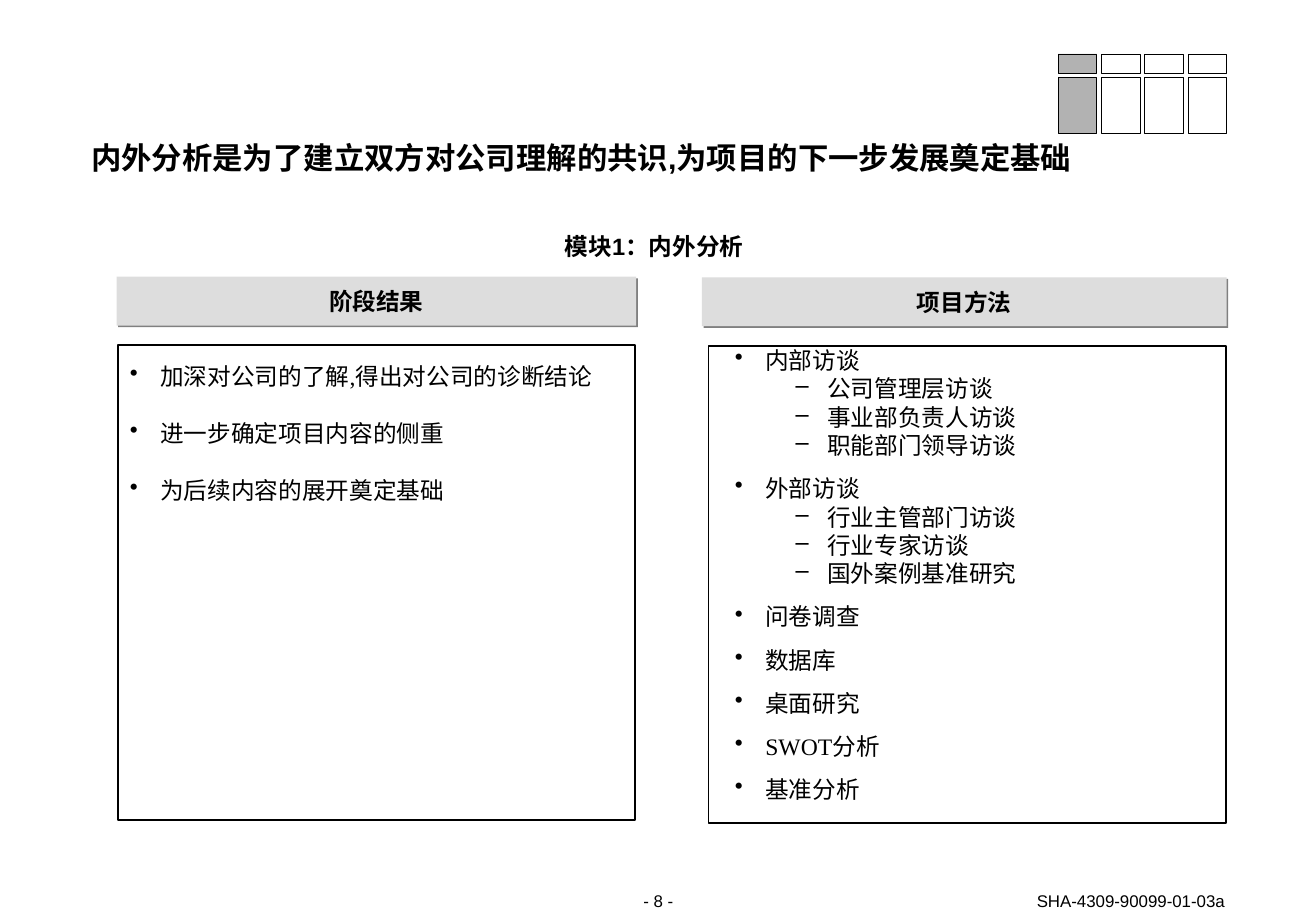
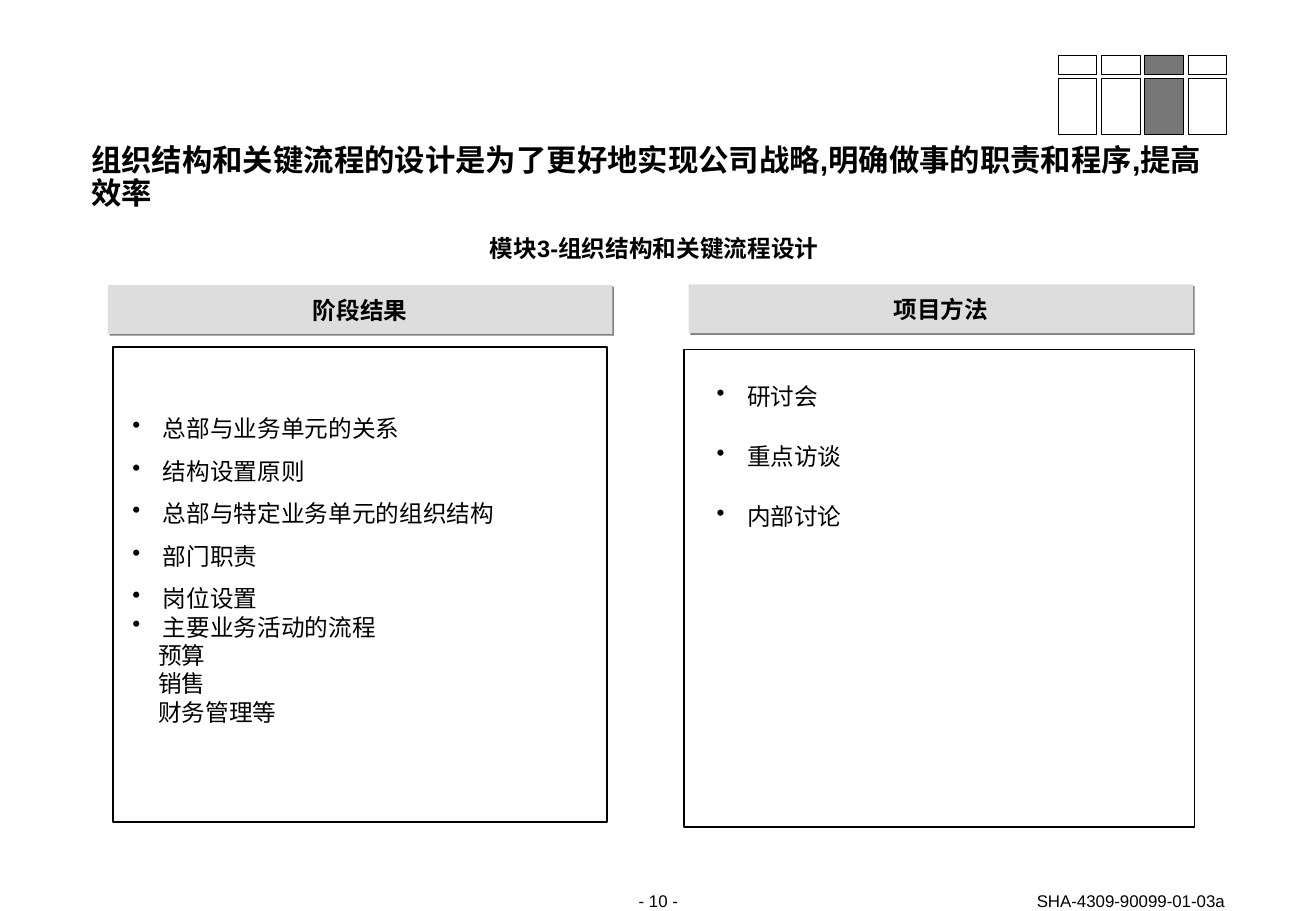
from dataclasses import dataclass

from lxml import etree
from pptx import Presentation
from pptx.dml.color import RGBColor
from pptx.enum.shapes import MSO_SHAPE
from pptx.enum.text import MSO_ANCHOR, PP_ALIGN
from pptx.oxml import parse_xml
from pptx.oxml.ns import qn
from pptx.util import Pt

RECT = MSO_SHAPE.RECTANGLE
TOP, MIDDLE, BOTTOM = MSO_ANCHOR.TOP, MSO_ANCHOR.MIDDLE, MSO_ANCHOR.BOTTOM
LEFT, CENTER, RIGHT = PP_ALIGN.LEFT, PP_ALIGN.CENTER, PP_ALIGN.RIGHT
SHADOW = (
    '<a:outerShdw xmlns:a="http://schemas.openxmlformats.org/drawingml/2006/main"'
    ' blurRad="0" dist="17780" dir="2700000" algn="tl" rotWithShape="0">'
    '<a:srgbClr val="808080"/></a:outerShdw>'
)


@dataclass(frozen=True)
class Theme:
    ink: str = "000000"
    header: str = "DDDDDD"
    sans: str = "Arial"
    serif: str = "Times New Roman"
    title: int = 18
    body: int = 14
    footer: int = 10


T = Theme()

# Paragraph styles: marker, left margin, first-line indent, space before, line spacing
STYLES = {
    "bullet": ("•", 18, -18, 8.8, 1),
    "dash": ("–", 54.7, -18.7, 0, 1),
    "spaced": ("•", 18, -18, 16.8, 1),
    "loose": ("•", 18, -18, 0, 1.5),
    "open": ("•", 18, -18, 8.8, 1.6),
    "tight": ("•", 18, -18, 0, 1),
    "plain": (None, 15.2, 0, 0, 1),
}

# Each column: header, header box, frame box, text box, top inset, groups of items
SLIDES = [
    {
        "page": 8,
        "title": "内外分析是为了建立双方对公司理解的共识,为项目的下一步发展奠定基础",
        "title_top": 84.2,
        "module": "模块1：内外分析",
        "module_top": 138.2,
        "tracker_top": 32,
        "active": 0,
        "active_color": "B2B2B2",
        "columns": [
            ("阶段结果", (69.1, 164, 308, 29), (70, 204.5, 306.5, 281.5),
             (77, 214.6, 309, 117), 0, [
                 ("spaced", T.serif, ["加深对公司的了解,得出对公司的诊断结论",
                                      "进一步确定项目内容的侧重",
                                      "为后续内容的展开奠定基础"]),
             ]),
            ("项目方法", (416, 164.4, 311, 29), (420, 205, 306.5, 283),
             (435.6, 205, 298, 271.5), 0, [
                 ("bullet", T.sans, ["内部访谈"]),
                 ("dash", T.sans, ["公司管理层访谈", "事业部负责人访谈", "职能部门领导访谈"]),
                 ("bullet", T.sans, ["外部访谈"]),
                 ("dash", T.sans, ["行业主管部门访谈", "行业专家访谈", "国外案例基准研究"]),
                 ("bullet", T.sans, ["问卷调查", "数据库", "桌面研究"]),
                 ("bullet", T.serif, ["SWOT分析"]),
                 ("bullet", T.sans, ["基准分析"]),
             ]),
        ],
    },
    {
        "page": 10,
        "title": "组织结构和关键流程的设计是为了更好地实现公司战略,明确做事的职责和程序,提高效率",
        "title_top": 85,
        "module": "模块3-组织结构和关键流程设计",
        "module_top": 139.7,
        "tracker_top": 32.6,
        "active": 2,
        "active_color": "777777",
        "columns": [
            ("阶段结果", (64, 169, 299, 29), (66.8, 205.8, 293, 281.5),
             (78.5, 220.3, 281, 227), 16.8, [
                 ("loose", T.serif, ["总部与业务单元的关系", "结构设置原则",
                                     "总部与特定业务单元的组织结构", "部门职责", "岗位设置"]),
                 ("tight", T.serif, ["主要业务活动的流程"]),
                 ("plain", T.serif, ["预算", "销售", "财务管理等"]),
             ]),
            ("项目方法", (408.2, 168.5, 299, 29), (405.5, 207.2, 302.5, 283),
             (424.8, 216, 252.5, 134), 0, [
                 ("open", T.sans, ["研讨会", "重点访谈", "内部讨论"]),
             ]),
        ],
    },
]


def add_box(s, box, fill=None, line=None):
    sp = s.shapes.add_shape(RECT, *map(Pt, box))
    sp.shadow.inherit = False
    if fill:
        sp.fill.solid()
        sp.fill.fore_color.rgb = RGBColor.from_string(fill)
    else:
        sp.fill.background()
    if line:
        sp.line.color.rgb = RGBColor.from_string(T.ink)
        sp.line.width = Pt(line)
    else:
        sp.line.fill.background()
    return sp


def write(sp, groups, size, bold=False, align=LEFT, anchor=TOP, leading=None, top=0):
    """Fill a shape from (style, font, texts) groups; leading is an exact line height."""
    tf = sp.text_frame
    tf.word_wrap = True
    tf.vertical_anchor = anchor
    tf.margin_left = tf.margin_right = tf.margin_bottom = 0
    tf.margin_top = Pt(top)
    first = True
    for style, font, texts in groups:
        for text in texts:
            p = tf.paragraphs[0] if first else tf.add_paragraph()
            if style:
                marker, margin, indent, before, spacing = STYLES[style]
                pPr = p._p.get_or_add_pPr()
                pPr.set("marL", str(Pt(margin)))
                pPr.set("indent", str(Pt(indent)))
                if marker:
                    etree.SubElement(pPr, qn("a:buChar")).set("char", marker)
                p.line_spacing = spacing
                p.space_before = Pt(0 if first else before)
            if leading:
                p.line_spacing = Pt(leading)
            p.alignment = align
            r = p.add_run()
            r.text = text
            r.font.name = font
            r.font.size = Pt(size)
            r.font.bold = bold
            r.font.color.rgb = RGBColor.from_string(T.ink)
            first = False


prs = Presentation()
prs.slide_width, prs.slide_height = Pt(780), Pt(540)

for data in SLIDES:
    s = prs.slides.add_slide(prs.slide_layouts[6])

    # Title, module name and footers
    for text, box, size, options in [
        (data["title"], (54, data["title_top"], 672, 48), T.title,
         {"bold": True, "leading": 20}),
        (data["module"], (51.8, data["module_top"], 672, 16), T.body,
         {"bold": True, "align": CENTER, "leading": 16}),
        (f"- {data['page']} -", (349.2, 527.8, 82, 12), T.footer, {"align": CENTER}),
        ("SHA-4309-90099-01-03a", (550, 527.8, 175.8, 12), T.footer,
         {"align": RIGHT, "anchor": BOTTOM}),
    ]:
        write(s.shapes.add_textbox(*map(Pt, box)), [(None, T.sans, [text])], size, **options)

    # Module tracker
    for i in range(4):
        fill = data["active_color"] if i == data["active"] else None
        for offset, height in [(0, 11.5), (14.2, 33)]:
            add_box(s, (627.1 + 25.7 * i, data["tracker_top"] + offset, 23, height), fill, 0.5)

    # Columns
    for header, header_box, frame_box, text_box, inset, groups in data["columns"]:
        sp = add_box(s, header_box, T.header)
        sp._element.spPr.find(qn("a:effectLst")).append(parse_xml(SHADOW))
        write(sp, [(None, T.sans, [header])], T.body, bold=True, align=CENTER, anchor=MIDDLE)
        add_box(s, frame_box, line=1)
        write(s.shapes.add_textbox(*map(Pt, text_box)), groups, T.body, top=inset)

prs.save("out.pptx")
